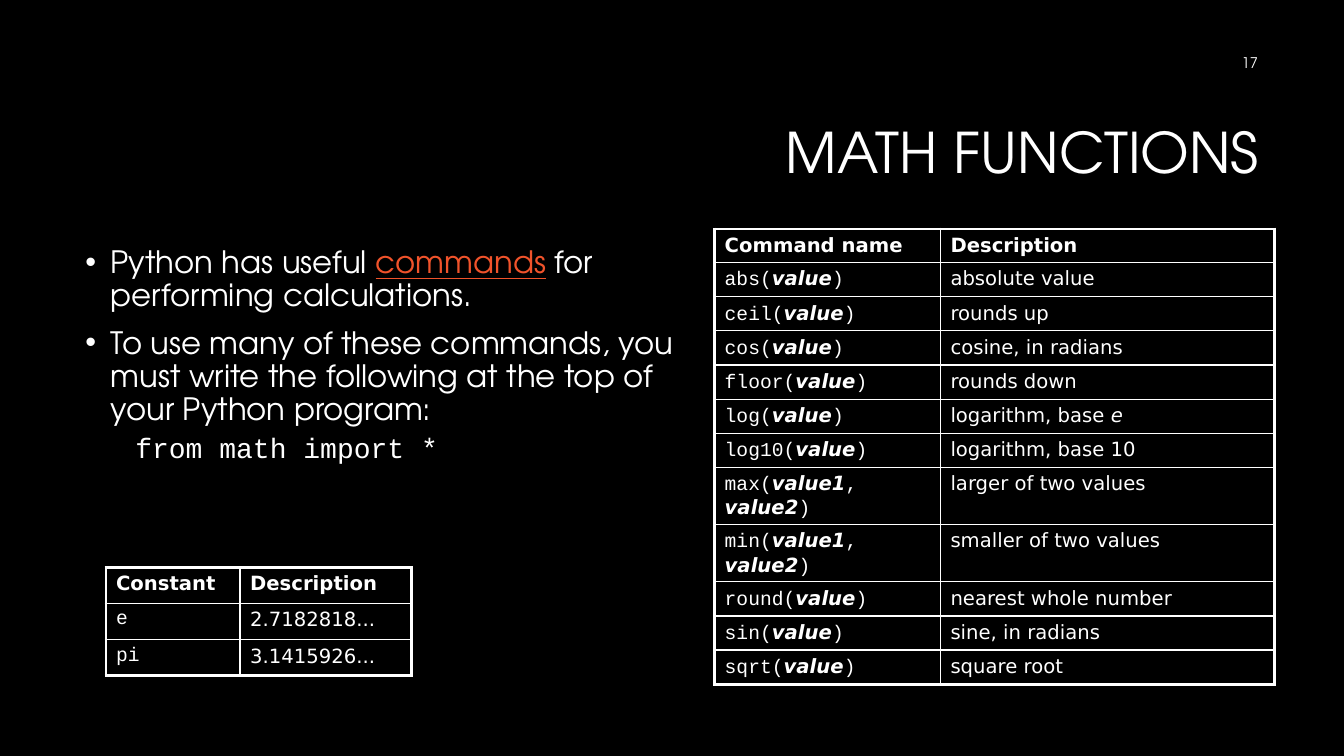
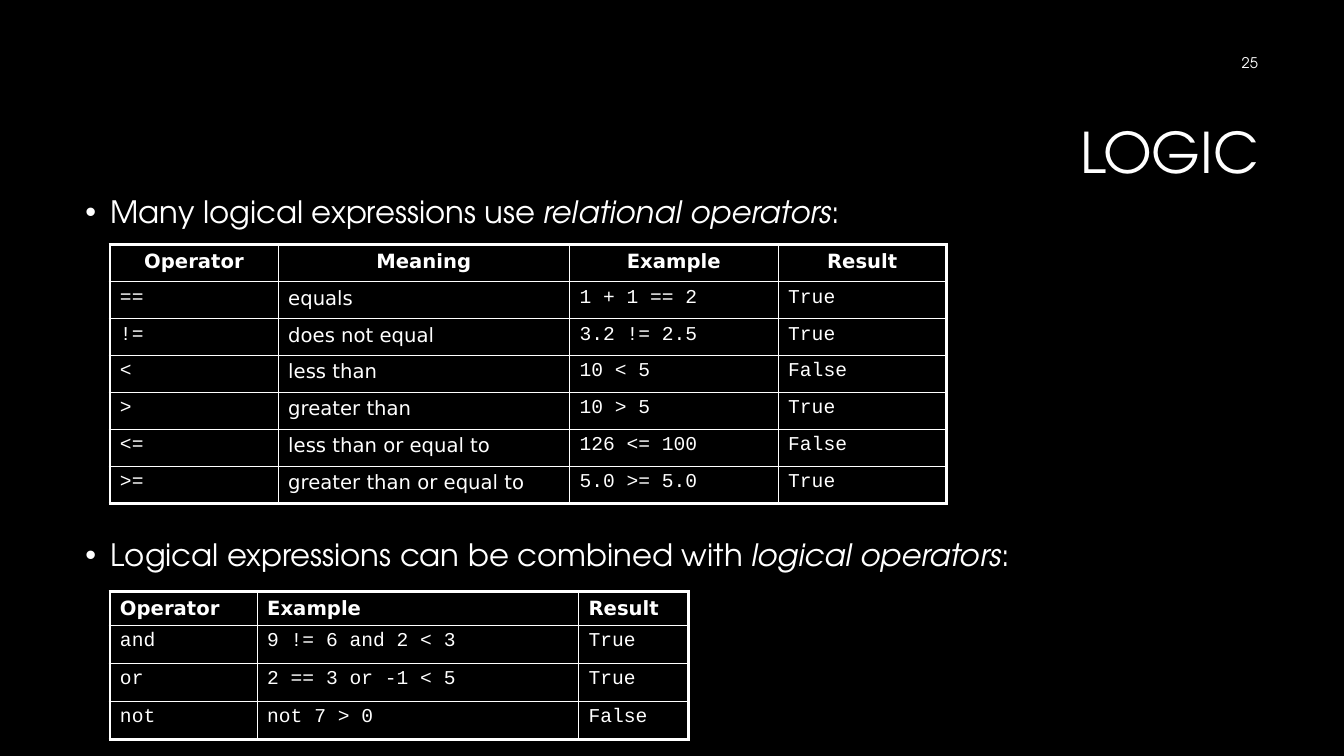
from pptx import Presentation
from pptx.dml.color import RGBColor
from pptx.enum.text import MSO_ANCHOR, MSO_AUTO_SIZE, PP_ALIGN
from pptx.oxml.ns import qn
from pptx.util import Cm, Pt
from lxml import etree

LEFT, CENTER, RIGHT = PP_ALIGN.LEFT, PP_ALIGN.CENTER, PP_ALIGN.RIGHT
MIDDLE = MSO_ANCHOR.MIDDLE
NO_FIT = MSO_AUTO_SIZE.NONE
TITLE_ONLY = 5

BLACK, WHITE, ACCENT = "000000", "FFFFFF", "F0532B"
SANS, MONO, GRID = "TeX Gyre Adventor", "Courier New", "DejaVu Sans"
OUTER, INNER = 2.25, 1

STYLES = {
    "title": dict(font=SANS, size=40),
    "number": dict(font=SANS, size=10.5),
    "body": dict(font=SANS, size=22),
    "term": dict(font=SANS, size=22, italic=True),
    "marked": dict(font=SANS, size=22, color=ACCENT, underline=True),
    "sample": dict(font=MONO, size=20),
    "head": dict(font=GRID, size=14, bold=True),
    "text": dict(font=GRID, size=14),
    "symbol": dict(font=GRID, size=14, italic=True),
    "arg": dict(font=GRID, size=14, bold=True, italic=True),
    "code": dict(font=MONO, size=14),
}

TITLE_BOX = (8.05, 2.13, 23.93, 3.58)
NUMBER_BOX = (24.33, 1.07, 7.62, 1.02)


def rgb(value):
    """Turn a hex string into a colour."""
    return RGBColor.from_string(value)


def add_run(p, text, style):
    """Add one run in a named style."""
    look = STYLES[style]
    r = p.add_run()
    r.text = text
    f = r.font
    f.name, f.size = look["font"], Pt(look["size"])
    f.bold, f.italic = look.get("bold", False), look.get("italic", False)
    f.underline = look.get("underline", False)
    f.color.rgb = rgb(look.get("color", WHITE))


def add_box(s, box):
    """Add a wrapping text box and return its text frame."""
    tf = s.shapes.add_textbox(*map(Cm, box)).text_frame
    tf.word_wrap = True
    return tf


def add_slide(prs, title, number):
    """Add a slide with its title and page number."""
    s = prs.slides.add_slide(prs.slide_layouts[TITLE_ONLY])
    sp = s.shapes.title
    sp.left, sp.top, sp.width, sp.height = map(Cm, TITLE_BOX)
    tf = sp.text_frame
    tf.auto_size = NO_FIT
    tf.paragraphs[0].line_spacing = 0.9
    number_tf = add_box(s, NUMBER_BOX)
    for frame, text, style in ((tf, title, "title"), (number_tf, number, "number")):
        frame.vertical_anchor = MIDDLE
        frame.paragraphs[0].alignment = RIGHT
        add_run(frame.paragraphs[0], text, style)
    return s


def add_body(s, box, items):
    """Place bullets and indented code samples in a box."""
    tf = add_box(s, box)
    for i, runs in enumerate(items):
        p = tf.add_paragraph() if i else tf.paragraphs[0]
        sample = runs[0][1] == "sample"
        p.alignment = LEFT
        p.line_spacing = 0.9
        p.space_before = Pt(5 if sample else 10)
        pPr = p._p.get_or_add_pPr()
        pPr.set("marL", str(Cm(1.9 if sample else 0.64)))
        pPr.set("indent", str(-Cm(0.64)))
        if sample:
            etree.SubElement(pPr, qn("a:buNone"))
        else:
            etree.SubElement(pPr, qn("a:buFont"), typeface="Arial")
            etree.SubElement(pPr, qn("a:buChar"), char="•")
        for text, style in runs:
            add_run(p, text, style)


def set_borders(cell, widths):
    """Draw the four cell borders, given as side and points."""
    tcPr = cell._tc.get_or_add_tcPr()
    for side, width in widths.items():
        ln = etree.SubElement(tcPr, qn("a:ln" + side), w=str(Pt(width)))
        fill = etree.SubElement(ln, qn("a:solidFill"))
        etree.SubElement(fill, qn("a:srgbClr"), val=WHITE)


def add_grid(s, left, top, cols, heights, head, rows, styles, head_align=LEFT):
    """Place a table with a heavy frame; heights are of head and body rows."""
    data = [[[(text, "head")] for text in head]]
    for row in rows:
        data.append([[(c, style)] if isinstance(c, str) else c
                     for c, style in zip(row, styles)])
    row_heights = [heights[0]] + [heights[1]] * len(rows)
    table = s.shapes.add_table(len(data), len(cols), Cm(left), Cm(top),
                               Cm(sum(cols)), Cm(sum(row_heights))).table
    table.first_row = table.horz_banding = False
    for col, width in zip(table.columns, cols):
        col.width = Cm(width)
    for i, row in enumerate(data):
        table.rows[i].height = Cm(row_heights[i])
        for j, runs in enumerate(row):
            cell = table.cell(i, j)
            edges = {"L": j == 0, "R": j == len(cols) - 1,
                     "T": i == 0, "B": i == len(data) - 1}
            set_borders(cell, {k: OUTER if v else INNER for k, v in edges.items()})
            cell.fill.background()
            p = cell.text_frame.paragraphs[0]
            p.alignment = head_align if i == 0 else LEFT
            for text, style in runs:
                add_run(p, text, style)


def call(name, *args):
    """Return the runs of a function call with emphasised arguments."""
    runs = [(name + "(", "code")]
    for i, arg in enumerate(args or ("value",)):
        if i:
            runs.append((", ", "code"))
        runs.append((arg, "arg"))
    return runs + [(")", "code")]


def math_slide(prs):
    """Build the slide on math functions."""
    s = add_slide(prs, "MATH FUNCTIONS", "17")
    add_body(s, (1.9, 6.1, 15.34, 12.04), [
        [("Python has useful ", "body"), ("commands", "marked"),
         (" for performing calculations.", "body")],
        [("To use many of these commands, you must write the following "
          "at the top of your Python program:", "body")],
        [("from math import *", "sample")],
    ])
    add_grid(s, 18.01, 5.77, (5.69, 8.41), (0.84, 0.86),
             ("Command name", "Description"), [
                 (call("abs"), "absolute value"),
                 (call("ceil"), "rounds up"),
                 (call("cos"), "cosine, in radians"),
                 (call("floor"), "rounds down"),
                 (call("log"), [("logarithm, base ", "text"), ("e", "symbol")]),
                 (call("log10"), "logarithm, base 10"),
                 (call("max", "value1", "value2"), "larger of two values"),
                 (call("min", "value1", "value2"), "smaller of two values"),
                 (call("round"), "nearest whole number"),
                 (call("sin"), "sine, in radians"),
                 (call("sqrt"), "square root"),
             ], ("code", "text"))
    add_grid(s, 2.67, 14.3, (3.38, 4.32), (0.91, 0.91),
             ("Constant", "Description"),
             [("e", "2.7182818..."), ("pi", "3.1415926...")], ("code", "text"))


def logic_slide(prs):
    """Build the slide on relational and logical operators."""
    s = add_slide(prs, "LOGIC", "25")
    for top, text, term in (
            (4.83, "Many logical expressions use ", "relational operators"),
            (13.49, "Logical expressions can be combined with ", "logical operators")):
        add_body(s, (1.9, top, 30.05, 1.2),
                 [[(text, "body"), (term, "term"), (":", "body")]])
    add_grid(s, 2.77, 6.17, (4.24, 7.34, 5.26, 4.24), (0.93, 0.93),
             ("Operator", "Meaning", "Example", "Result"), [
                 ("==", "equals", "1 + 1 == 2", "True"),
                 ("!=", "does not equal", "3.2 != 2.5", "True"),
                 ("<", "less than", "10 < 5", "False"),
                 (">", "greater than", "10 > 5", "True"),
                 ("<=", "less than or equal to", "126 <= 100", "False"),
                 (">=", "greater than or equal to", "5.0 >= 5.0", "True"),
             ], ("code", "text", "code", "code"), CENTER)
    add_grid(s, 2.77, 14.91, (3.71, 8.1, 2.77), (0.84, 0.96),
             ("Operator", "Example", "Result"), [
                 ("and", "9 != 6 and 2 < 3", "True"),
                 ("or", "2 == 3 or -1 < 5", "True"),
                 ("not", "not 7 > 0", "False"),
             ], ("code", "code", "code"))


def main():
    """Build and save the presentation."""
    prs = Presentation()
    prs.slide_width, prs.slide_height = Cm(33.87), Cm(19.05)
    fill = prs.slide_master.background.fill
    fill.solid()
    fill.fore_color.rgb = rgb(BLACK)
    math_slide(prs)
    logic_slide(prs)
    prs.save("out.pptx")


if __name__ == "__main__":
    main()
